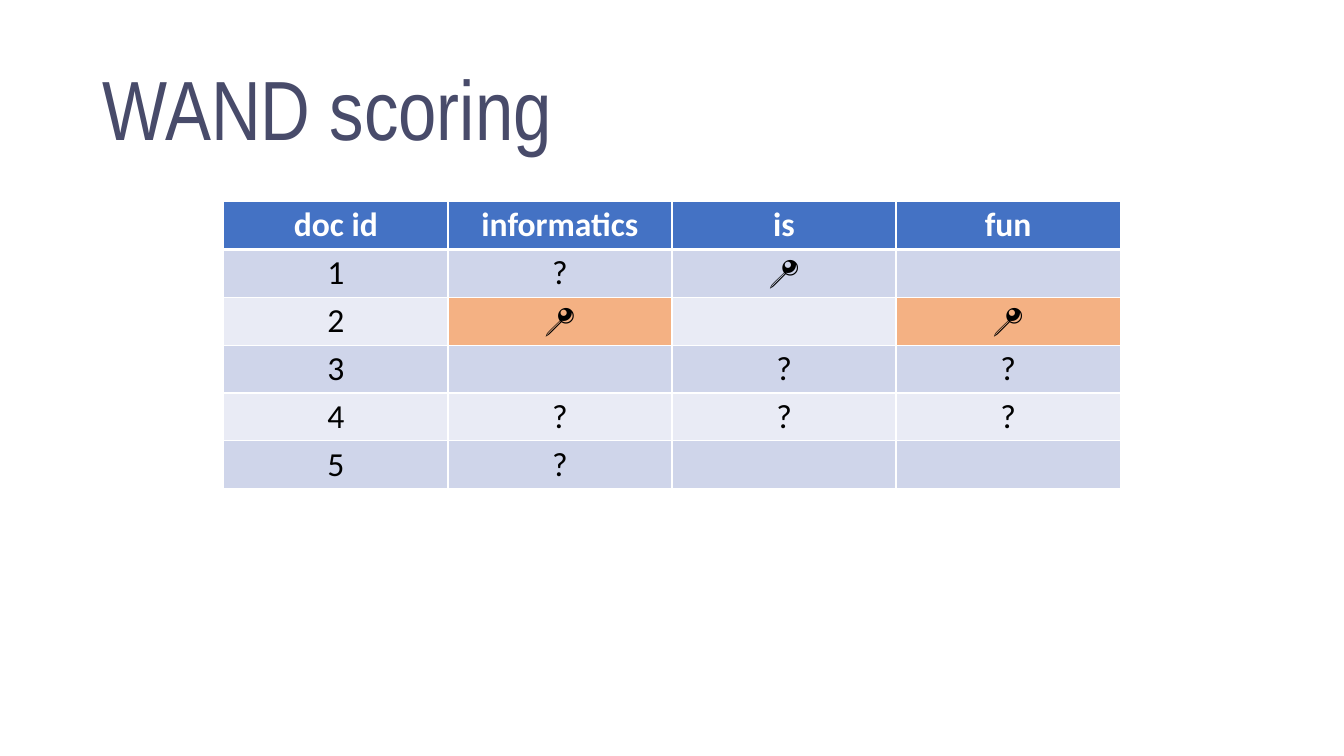
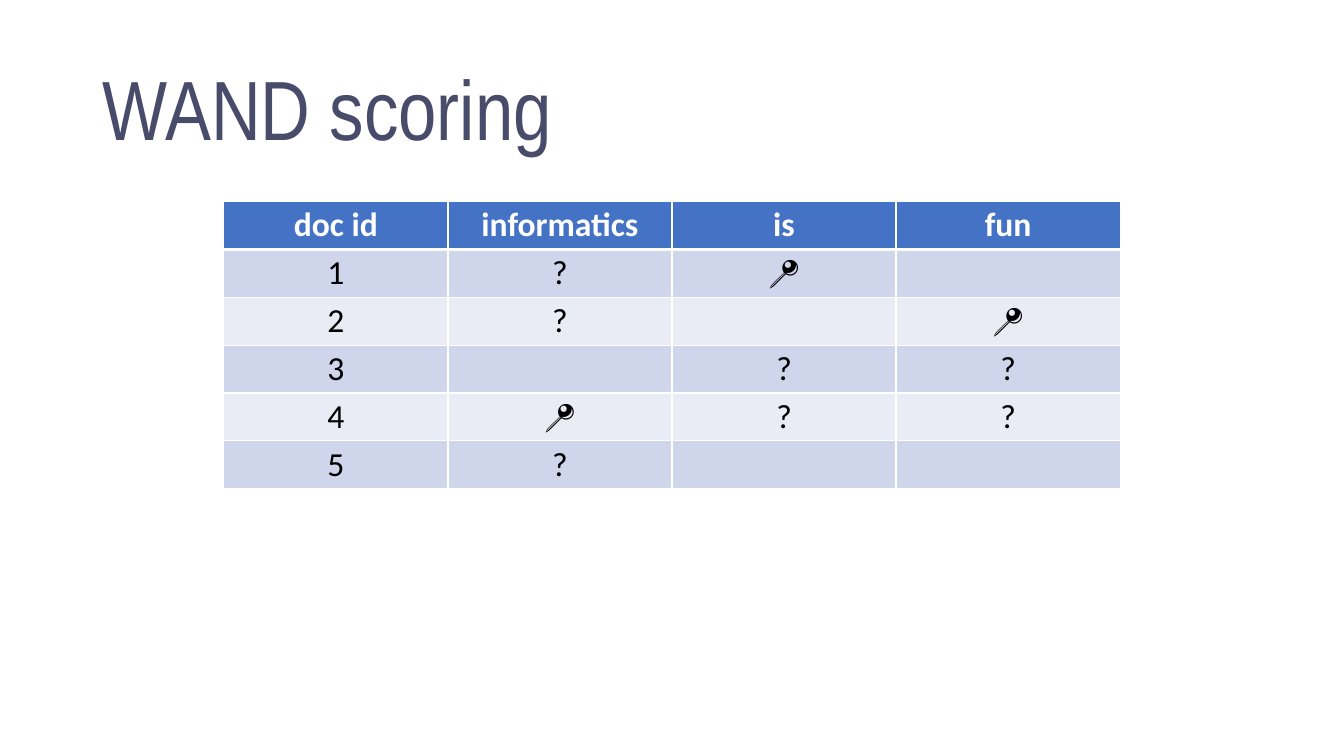
from lxml import etree
from pptx import Presentation
from pptx.dml.color import RGBColor
from pptx.enum import text
from pptx.oxml import ns
from pptx.util import Inches, Pt

# Shared look
WHITE = RGBColor(0xFF, 0xFF, 0xFF)
BLACK = RGBColor(0x00, 0x00, 0x00)
TITLE_INK = RGBColor(0x48, 0x4B, 0x6A)
HEADER_BLUE = RGBColor(0x44, 0x72, 0xC4)
BAND_DARK = RGBColor(0xCF, 0xD5, 0xEA)
BAND_LIGHT = RGBColor(0xE9, 0xEB, 0xF5)
HIGHLIGHT = RGBColor(0xF4, 0xB1, 0x83)
TITLE_FONT = "Arial Narrow"
TABLE_FONT = "Calibri"

# Table content: one row per document, one column per term
HEADER = ["doc id", "informatics", "is", "fun"]
PIN = "📍"
FIRST_STEP = [
    ["1", "?", PIN, ""],
    ["2", PIN, "", PIN],
    ["3", "", "?", "?"],
    ["4", "?", "?", "?"],
    ["5", "?", "", ""],
]
SECOND_STEP = [
    ["1", "?", PIN, ""],
    ["2", "?", "", PIN],
    ["3", "", "?", "?"],
    ["4", PIN, "?", "?"],
    ["5", "?", "", ""],
]


def add_run(p, words, font, size, color, bold=False):
    r = p.add_run()
    r.text = words
    r.font.name = font
    r.font.size = Pt(size)
    r.font.color.rgb = color
    r.font.bold = bold


def add_titled_slide(prs, title):
    s = prs.slides.add_slide(prs.slide_layouts[5])
    sp = s.shapes.title
    sp.left, sp.top = Inches(0.92), Inches(0.4)
    sp.width, sp.height = Inches(11.5), Inches(1.45)
    tf = sp.text_frame
    tf.auto_size = text.MSO_AUTO_SIZE.NONE
    tf.vertical_anchor = text.MSO_ANCHOR.MIDDLE
    p = tf.paragraphs[0]
    p.alignment = text.PP_ALIGN.LEFT
    p.line_spacing = 0.9
    add_run(p, title, TITLE_FONT, 60, TITLE_INK)
    return s


def set_borders(cell, top, bottom):
    """White rules; the side rules are always 1 pt. Call before filling."""
    tc_pr = cell._tc.get_or_add_tcPr()
    for side, width in (("L", 1), ("R", 1), ("T", top), ("B", bottom)):
        ln = etree.SubElement(tc_pr, ns.qn("a:ln" + side), w=str(Pt(width)))
        fill = etree.SubElement(ln, ns.qn("a:solidFill"))
        etree.SubElement(fill, ns.qn("a:srgbClr"), val=str(WHITE))


def format_cell(cell, words, fill, color, bold):
    cell.fill.solid()
    cell.fill.fore_color.rgb = fill
    cell.vertical_anchor = text.MSO_ANCHOR.MIDDLE
    cell.margin_left = cell.margin_right = Inches(0.07)
    cell.margin_top = cell.margin_bottom = Inches(0.03)
    p = cell.text_frame.paragraphs[0]
    p.alignment = text.PP_ALIGN.CENTER
    if words:
        add_run(p, words, TABLE_FONT, 24, color, bold)


def add_score_table(s, body, highlights):
    rows = [HEADER] + body
    table = s.shapes.add_table(len(rows), len(HEADER), Inches(2.22), Inches(2),
                               Inches(8.89), Inches(2.85)).table
    for i, row in enumerate(rows):
        is_header = i == 0
        band = HEADER_BLUE if is_header else BAND_DARK if i % 2 else BAND_LIGHT
        for j, words in enumerate(row):
            cell = table.cell(i, j)
            set_borders(cell, top=3 if i == 1 else 1, bottom=3 if is_header else 1)
            format_cell(cell, words, HIGHLIGHT if (i, j) in highlights else band,
                        WHITE if is_header else BLACK, is_header)


def main():
    prs = Presentation()
    prs.slide_width, prs.slide_height = Inches(13.33), Inches(7.5)
    # Highlights are (row, column) pairs, the header being row 0
    for body, highlights in ((FIRST_STEP, {(2, 1), (2, 3)}), (SECOND_STEP, set())):
        s = add_titled_slide(prs, "WAND scoring")
        add_score_table(s, body, highlights)
    prs.save("out.pptx")


if __name__ == "__main__":
    main()
